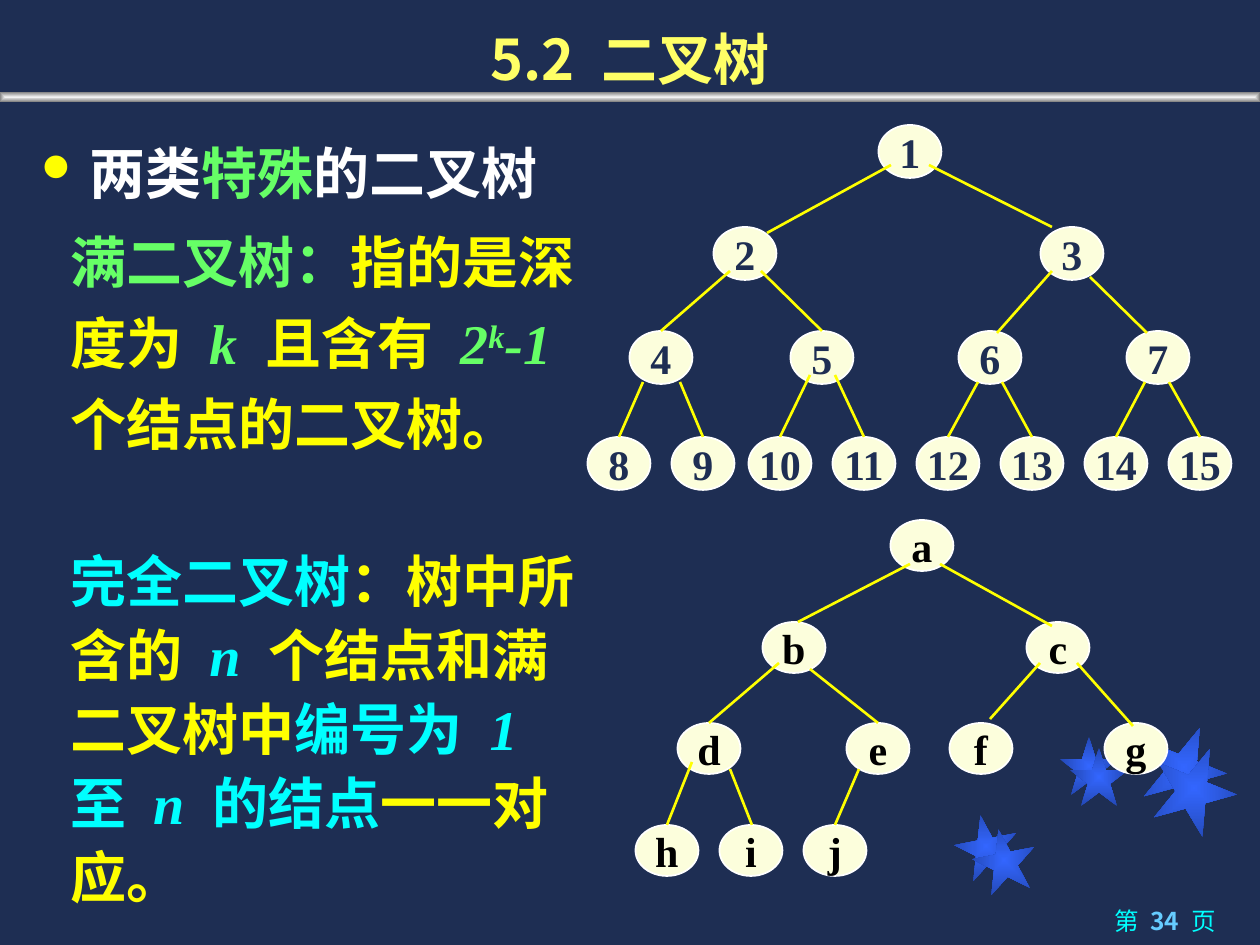
from lxml import etree
from pptx import Presentation
from pptx.dml.color import RGBColor
from pptx.enum.shapes import MSO_CONNECTOR as CONNECTOR, MSO_SHAPE as SHAPE
from pptx.enum.text import MSO_ANCHOR as ANCHOR, PP_ALIGN as ALIGN
from pptx.oxml import parse_xml
from pptx.oxml.ns import nsdecls, qn
from pptx.util import Pt

SCALE = 914400 / 126  # EMU per pixel
COLORS = {
    "navy": "1E2E53", "white": "FFFFFF", "black": "000000", "cream": "FCFEDC",
    "yellow": "FFFF00", "title": "FFFF66", "green": "66FF66", "cyan": "00FFFF",
    "sky": "66CCFF", "blue": "3366FF", "deep": "2449B6", "light": "F2F2F2", "gray": "808080",
}
SANS, SERIF = "Noto Sans CJK SC", "Times New Roman"
NODE_WIDTH = 63


def px(value):
    return round(value * SCALE)


def rgb(name):
    return RGBColor.from_string(COLORS[name])


class SlideBuilder:
    def __init__(self, deck):
        self.slide = deck.slides.add_slide(deck.slide_layouts[6])
        self.slide.background.fill.solid()
        self.slide.background.fill.fore_color.rgb = rgb("navy")

    def shape(self, kind, left, top, width, height):
        shape = self.slide.shapes.add_shape(kind, px(left), px(top), px(width), px(height))
        shape.shadow.inherit = False
        return shape

    def glow(self, kind, box, inner, outer, turn=0):
        """Shape without outline whose fill runs from its centre to its edge."""
        shape = self.shape(kind, *box)
        shape.rotation = turn
        shape.line.fill.background()
        stops = "".join(
            f'<a:gs pos="{place}"><a:srgbClr val="{COLORS[color]}"/></a:gs>'
            for place, color in ((0, inner), (100000, outer)))
        fill = parse_xml(
            f'<a:gradFill {nsdecls("a")} rotWithShape="1"><a:gsLst>{stops}</a:gsLst>'
            '<a:path path="shape"><a:fillToRect l="50000" t="50000" r="50000" b="50000"/>'
            '</a:path></a:gradFill>')
        shape.element.spPr.find(qn("a:prstGeom")).addnext(fill)

    def span(self, para, text, size, color, font, bold=True, italic=False, raised=False):
        span = para.add_run()
        span.text = text
        span.font.size = Pt(size)
        span.font.name = font
        span.font.bold = bold
        span.font.italic = italic
        span.font.color.rgb = rgb(color)
        properties = span.font._element
        etree.SubElement(properties, qn("a:ea")).set("typeface", SANS)
        if raised:
            properties.set("baseline", "30000")
        if text == " ":  # word gaps are twice as wide as one space
            properties.set("spc", str(size * 25))

    def text(self, box, spans, size=32, font=SERIF, align=ALIGN.LEFT, spacing=None):
        frame = self.slide.shapes.add_textbox(*map(px, box)).text_frame
        frame.word_wrap = True
        para = frame.paragraphs[0]
        para.alignment = align
        if spacing:
            para.line_spacing = Pt(spacing)
        for text, color, *style in spans:
            options = dict.fromkeys(style, True)
            if "plain" in options:
                options = {"bold": False}
            self.span(para, text.rstrip(" "), size, color, font, **options)
            if text.endswith(" "):
                self.span(para, " ", size, color, font, **options)
        return frame

    def bullet(self, para, color, percent, indent):
        properties = para._p.get_or_add_pPr()
        properties.set("marL", str(px(indent)))
        properties.set("indent", str(-px(indent)))
        for part in (
            f'<a:buClr {nsdecls("a")}><a:srgbClr val="{COLORS[color]}"/></a:buClr>',
            f'<a:buSzPct {nsdecls("a")} val="{percent * 1000}"/>',
            f'<a:buFont {nsdecls("a")} typeface="Wingdings"/>',
            f'<a:buChar {nsdecls("a")} char="l"/>',
        ):
            properties.append(parse_xml(part))

    def node(self, label, center, top, height, color):
        oval = self.shape(SHAPE.OVAL, center - NODE_WIDTH / 2, top, NODE_WIDTH, height)
        oval.fill.solid()
        oval.fill.fore_color.rgb = rgb("cream")
        oval.line.color.rgb = rgb("white")
        oval.line.width = Pt(1)
        frame = oval.text_frame
        frame.word_wrap = False
        frame.vertical_anchor = ANCHOR.MIDDLE
        para = frame.paragraphs[0]
        para.alignment = ALIGN.CENTER
        self.span(para, label, 24, color, SERIF)

    def edge(self, *ends):
        line = self.slide.shapes.add_connector(CONNECTOR.STRAIGHT, *map(px, ends))
        line.line.color.rgb = rgb("yellow")
        line.line.width = Pt(1.5)
        etree.SubElement(line.element.spPr, qn("a:effectLst"))

    def tree(self, labels, rows, height, color, edges):
        names = iter(labels)
        for top, centers in rows:
            for center in centers:
                self.node(next(names), center, top, height, color)
        for ends in edges:
            self.edge(*ends)


deck = Presentation()
deck.slide_width, deck.slide_height = px(1260), px(945)
page = SlideBuilder(deck)

# Stars and the bar under the title
for left, top, size, turn in (
    (955, 815, 63, 349), (1060, 737, 58, 0), (1142, 725, 84, 22),
    (973, 829, 63, 349), (1070, 748, 58, 0), (1152, 746, 84, 22),
):
    page.glow(SHAPE.STAR_5_POINT, (left, top, size, size), "blue", "deep", turn)
page.glow(SHAPE.RECTANGLE, (0, 92, 1260, 10), "light", "gray")

# Page number, title and heading
page.text((897, 900, 331, 45),
          [("第 ", "cyan", "plain"), ("34 ", "sky"), ("页", "cyan", "plain")],
          size=14, font=SANS, align=ALIGN.RIGHT)
title = page.text((0, 0, 1260, 94), [("5.2 ", "title"), ("二叉树", "title")],
                  font=SANS, align=ALIGN.CENTER)
title.vertical_anchor = ANCHOR.BOTTOM
title.margin_bottom = px(2)
heading = page.text((29, 126, 1203, 92),
                    [("两类", "white"), ("特殊", "green"), ("的二叉树", "white")],
                    font="Arial", spacing=42)
page.bullet(heading.paragraphs[0], "yellow", 70, 48)

# Definitions
page.text((58, 208, 566, 255), [
    ("满二叉树：", "green"), ("指的是深度为 ", "yellow"), ("k ", "green", "italic"),
    ("且含有 ", "yellow"), ("2", "green", "italic"), ("k", "green", "italic", "raised"),
    ("-1 ", "green", "italic"), ("个结点的二叉树。", "yellow"),
], spacing=46.3)
page.text((58, 534, 547, 309), [
    ("完全二叉树", "cyan"), ("：树中所含的 ", "yellow"), ("n ", "cyan", "italic"),
    ("个结点和满二叉树中", "yellow"), ("编号为 ", "cyan"), ("1 ", "cyan", "italic"),
    ("至 ", "cyan"), ("n ", "cyan", "italic"), ("的结点", "cyan"), ("一一对应。", "yellow"),
], spacing=42.2)

# Full binary tree
page.tree(
    [str(number) for number in range(1, 16)],
    [(125, [910]), (227, [745, 1072]), (331, [661, 822, 990, 1158]),
     (437, [619, 703, *range(780, 1201, 84)])],
    53, "navy",
    [(891, 165, 767, 233), (929, 165, 1052, 227),
     (730, 271, 661, 331), (761, 271, 822, 331),
     (1052, 271, 997, 333), (1090, 277, 1147, 333),
     (643, 382, 619, 437), (680, 382, 703, 437),
     (810, 375, 780, 437), (835, 375, 864, 437),
     (978, 382, 948, 437), (1002, 382, 1032, 437),
     (1145, 382, 1116, 437), (1169, 382, 1200, 437)])

# Complete binary tree
page.tree(
    "abcdefghij",
    [(520, [922]), (622, [794, 1058]), (723, [709, 878, 981, 1136]), (825, [667, 751, 835])],
    51, "black",
    [(910, 564, 798, 622), (940, 564, 1052, 626),
     (779, 663, 709, 723), (810, 669, 878, 723),
     (1040, 663, 990, 719), (1077, 663, 1133, 726),
     (692, 762, 667, 825), (730, 769, 752, 825), (859, 769, 835, 825)])

deck.save("out.pptx")
